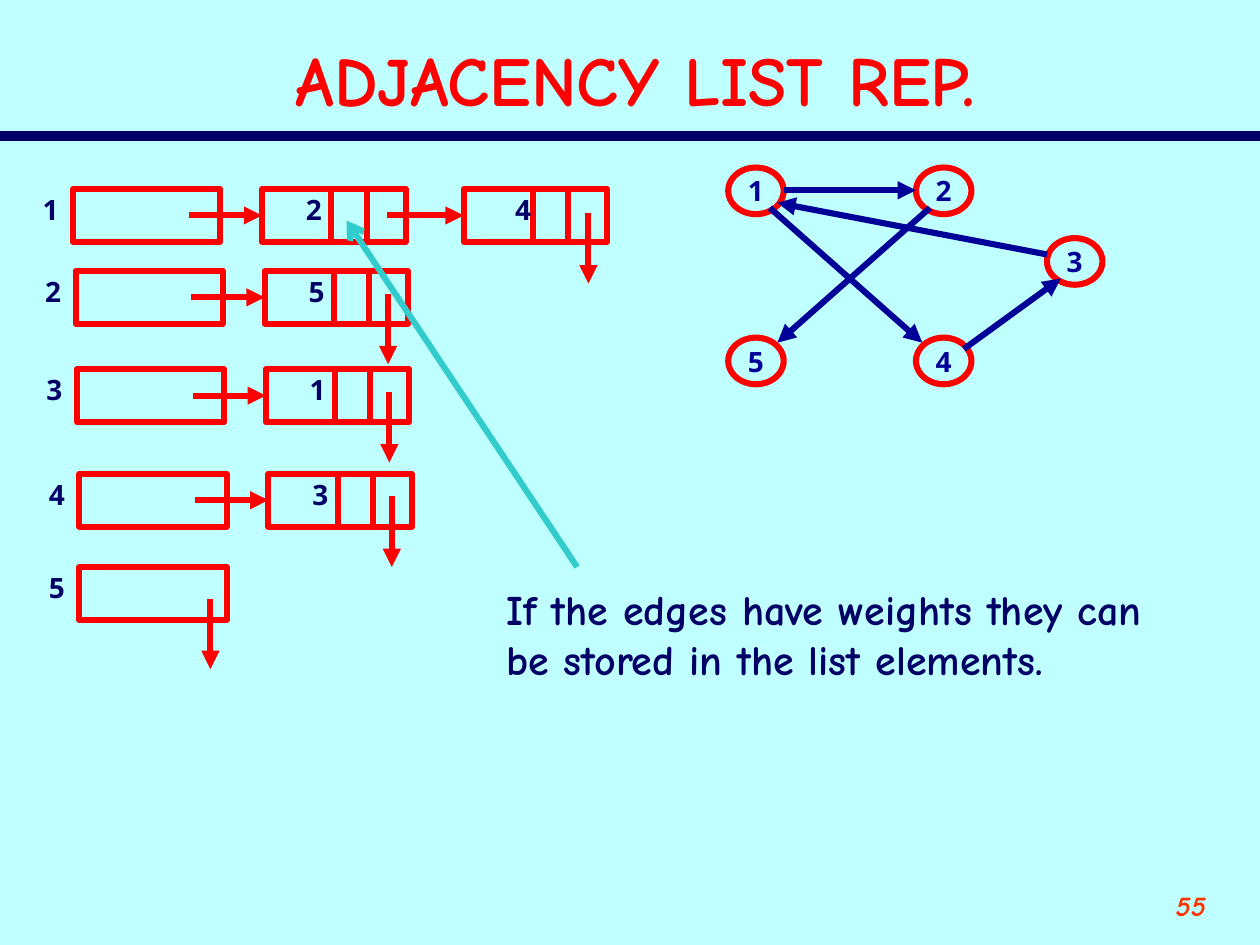
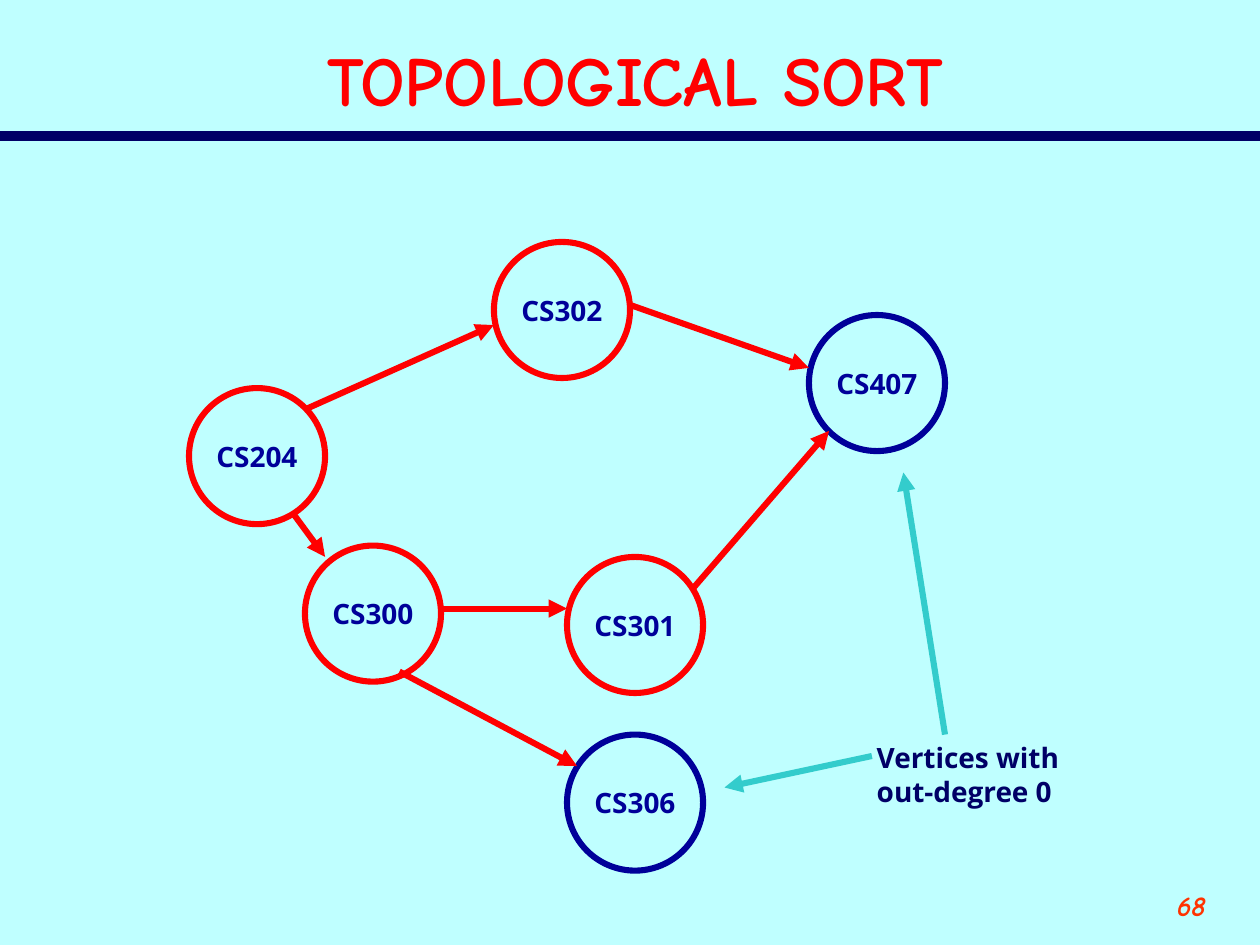
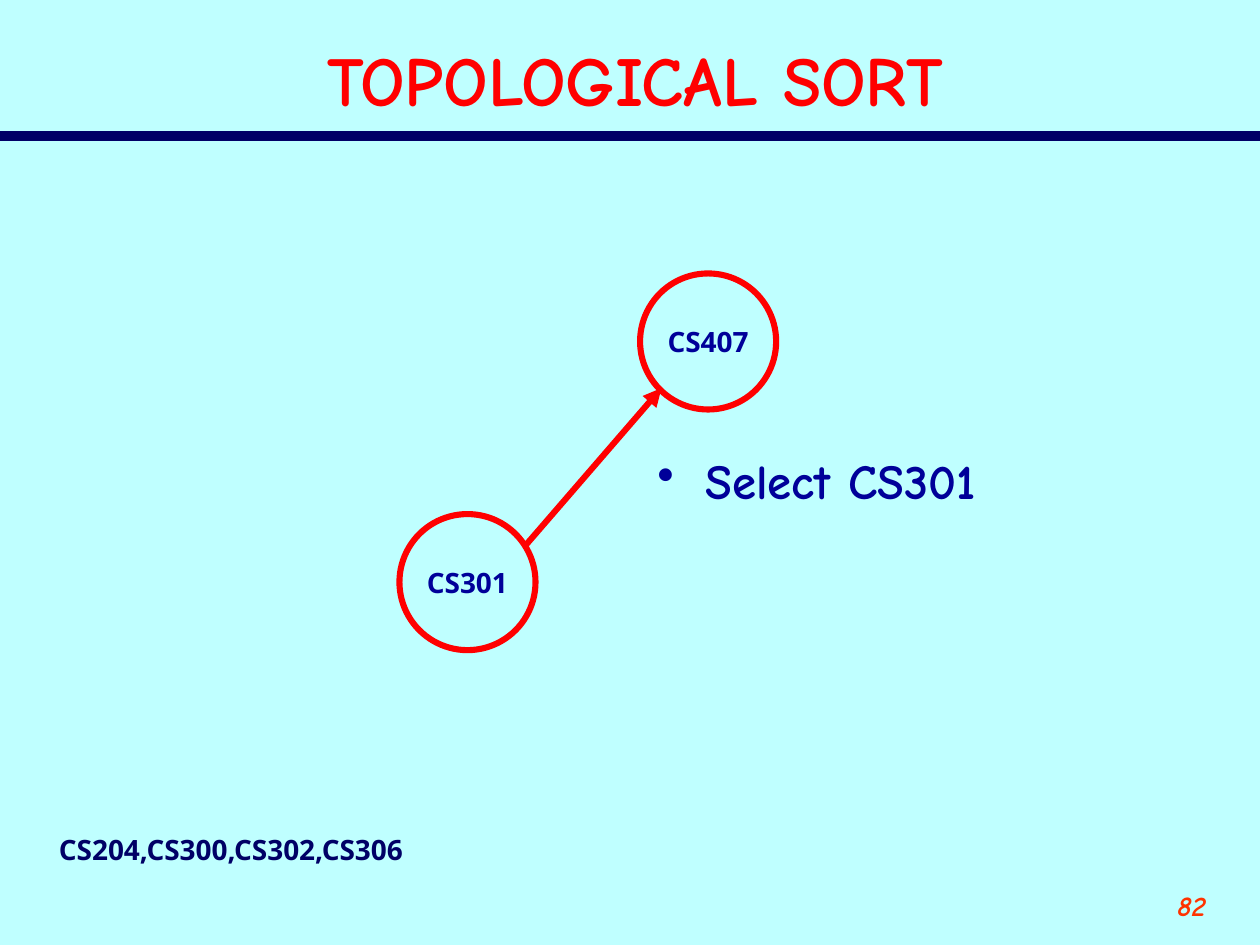
from lxml import etree
from pptx import Presentation
from pptx.dml.color import RGBColor
from pptx.enum.shapes import MSO_CONNECTOR, MSO_SHAPE
from pptx.enum.text import MSO_ANCHOR, MSO_AUTO_SIZE, PP_ALIGN
from pptx.oxml.ns import qn
from pptx.util import Inches, Pt

STRAIGHT = MSO_CONNECTOR.STRAIGHT
RECT, OVAL = MSO_SHAPE.RECTANGLE, MSO_SHAPE.OVAL
MIDDLE = MSO_ANCHOR.MIDDLE
NO_FIT, GROW = MSO_AUTO_SIZE.NONE, MSO_AUTO_SIZE.SHAPE_TO_FIT_TEXT
LEFT, CENTER, RIGHT = PP_ALIGN.LEFT, PP_ALIGN.CENTER, PP_ALIGN.RIGHT

COLORS = {
    "back": "BFFFFF",
    "red": "FF0000",
    "navy": "000066",
    "blue": "000099",
    "teal": "33CCCC",
    "number": "FF3300",
}
HAND, SANS = "Comic Neue", "Open Sans"
STROKE = 3.5
BOX_W, CELL_W, BOX_H = 1.17, 1.14, 0.42
CELL_DX = 1.5
COURSE_SIZE = (1.08, 1.08)
VERTEX_SIZE = (0.44, 0.37)


def rgb(name):
    """Return the named colour."""
    return RGBColor.from_string(COLORS[name])


def style(p, size, color, font=SANS, align=LEFT, italic=False):
    """Format a paragraph in bold."""
    p.alignment = align
    f = p.font
    f.name, f.size, f.bold, f.italic = font, Pt(size), True, italic
    f.color.rgb = rgb(color)


def add_text(s, text, at, size=16, color="navy", font=SANS, align=LEFT,
             wrap=False, fit=GROW, italic=False):
    """Add a text box with one paragraph per line and return its frame."""
    tf = s.shapes.add_textbox(*map(Inches, at)).text_frame
    tf.word_wrap, tf.auto_size = wrap, fit
    tf.text = text
    for p in tf.paragraphs:
        style(p, size, color, font, align, italic)
    return tf


def add_line(s, start, end, color="red", width=STROKE, tail=None):
    """Add a straight line, with an arrowhead at its end if tail is given."""
    c = s.shapes.add_connector(STRAIGHT, *map(Inches, (*start, *end)))
    c.line.color.rgb, c.line.width = rgb(color), Pt(width)
    if tail:
        etree.SubElement(c.line._get_or_add_ln(), qn("a:tailEnd"), type=tail)
    etree.SubElement(c._element.spPr, qn("a:effectLst"))
    return c


def add_arrow(s, start, end, color="red"):
    """Add a line with a solid arrowhead."""
    return add_line(s, start, end, color, tail="triangle")


def add_outline(s, kind, at, color="red"):
    """Add an unfilled shape with a thick outline."""
    sp = s.shapes.add_shape(kind, *map(Inches, at))
    sp.shadow.inherit = False
    sp.fill.background()
    sp.line.color.rgb, sp.line.width = rgb(color), Pt(STROKE)
    return sp


def add_node(s, text, at, size, color="red"):
    """Add a labelled graph node."""
    tf = add_outline(s, OVAL, (*at, *size), color).text_frame
    tf.word_wrap, tf.vertical_anchor = False, MIDDLE
    tf.text = text
    style(tf.paragraphs[0], 16, "blue", align=CENTER)


def add_label(s, text, left, top):
    """Add a one-digit label."""
    add_text(s, text, (left, top, 0.32, 0.37))


def add_null(s, x, y):
    """Add the downward arrow that ends a list."""
    add_arrow(s, (x, y), (x, y + 0.56))


def add_cell(s, value, left, top, value_dx=0.25):
    """Add a list element with value, weight and link fields."""
    cell = add_outline(s, RECT, (left, top, CELL_W, BOX_H))
    for dx in (0.55, 0.83):
        add_line(s, (left + dx, top), (left + dx, top + BOX_H))
    add_label(s, value, left + value_dx, top - 0.02)
    return cell


def add_link(s, x, cell, left, top):
    """Join a link field to the left side of the next list element."""
    y = top + BOX_H / 2
    add_arrow(s, (x, y), (left, y)).end_connect(cell, 1)


def add_row(s, vertex, left, top, value):
    """Add the head of an adjacency list and its first element."""
    add_outline(s, RECT, (left, top, BOX_W, BOX_H))
    add_label(s, vertex, left - 0.34, top - 0.02)
    if value is None:
        add_null(s, left + 1.04, top + 0.25)
        return
    cell_left = left + CELL_DX
    cell = add_cell(s, value, cell_left, top)
    add_link(s, left + 0.92, cell, cell_left, top)


def add_slide(prs, title, number):
    """Add a slide with background, rule, title and slide number."""
    s = prs.slides.add_slide(prs.slide_layouts[5])
    add_line(s, (0, 1.08), (10, 1.08), "navy", 6)
    add_text(s, number, (8.67, 7, 1, 0.5), color="number", font=HAND,
             align=RIGHT, wrap=True, fit=NO_FIT, italic=True)
    sp = s.shapes.title
    sp.left, sp.top, sp.width, sp.height = map(Inches, (0.42, 0.25, 9.25, 0.75))
    tf = sp.text_frame
    tf.text, tf.vertical_anchor, tf.auto_size = title, MIDDLE, NO_FIT
    style(tf.paragraphs[0], 40, "red", HAND, CENTER)
    return s


def add_bullet(p, indent):
    """Give a paragraph a hanging bullet."""
    pPr = p._p.get_or_add_pPr()
    pPr.set("marL", str(Inches(indent)))
    pPr.set("indent", str(-Inches(indent)))
    bullet = etree.Element(qn("a:buChar"), char="•")
    pPr.insert(0, bullet)


def adjacency_slide(prs):
    """Build the adjacency list slide."""
    s = add_slide(prs, "ADJACENCY LIST REP.", "55")
    rows = [("1", 0.58, 1.5, "2"), ("2", 0.6, 2.15, "5"), ("3", 0.61, 2.93, "1"),
            ("4", 0.63, 3.76, "3"), ("5", 0.63, 4.5, None)]
    for vertex, left, top, value in rows:
        add_row(s, vertex, left, top, value)
    for vertex, left, top, value in rows[1:4]:
        add_null(s, left + CELL_DX + 0.98, top + 0.18)
    last = add_cell(s, "4", 3.68, 1.5, value_dx=0.31)
    add_link(s, 3.07, last, 3.68, 1.5)
    add_null(s, 4.67, 1.69)

    add_text(s, "If the edges have weights they can be stored in the list elements.",
             (3.92, 4.58, 5.5, 0.9), 24, font=HAND, wrap=True)
    add_line(s, (4.58, 4.5), (2.75, 1.75), "teal", tail="arrow")

    vertices = {"1": (5.78, 1.33), "2": (7.27, 1.33), "5": (5.78, 2.68),
                "3": (8.31, 1.89), "4": (7.27, 2.68)}
    for name, at in vertices.items():
        add_node(s, name, at, VERTEX_SIZE)
    edges = [((6.22, 1.51), (7.27, 1.51)), ((7.38, 1.65), (6.17, 2.72)),
             ((6.11, 1.65), (7.32, 2.72)), ((7.65, 2.77), (8.42, 2.21)),
             ((8.31, 2.02), (6.17, 1.61))]
    for start, end in edges:
        add_arrow(s, start, end, "blue")


def courses_slide(prs):
    """Build the course graph slide."""
    s = add_slide(prs, "TOPOLOGICAL SORT", "68")
    courses = {"CS204": (1.5, 3.08), "CS300": (2.42, 4.33), "CS301": (4.5, 4.42),
               "CS302": (3.92, 1.92), "CS407": (6.42, 2.5), "CS306": (4.5, 5.83)}
    sinks = ("CS407", "CS306")
    for name, at in courses.items():
        add_node(s, name, at, COURSE_SIZE, "blue" if name in sinks else "red")
    edges = [((2.33, 4.08), (2.58, 4.42)), ((3.5, 4.83), (4.5, 4.83)),
             ((3.17, 5.33), (4.58, 6.08)), ((2.42, 3.25), (3.92, 2.58)),
             ((5.5, 4.67), (6.58, 3.42)), ((5, 2.42), (6.42, 2.92))]
    for start, end in edges:
        add_arrow(s, start, end)
    add_text(s, "Vertices with\nout-degree 0", (6.86, 5.83, 1.71, 0.64))
    add_arrow(s, (6.92, 6), (5.75, 6.25), "teal")
    add_arrow(s, (7.5, 5.83), (7.17, 3.75), "teal")


def selection_slide(prs):
    """Build the slide that selects the next course."""
    s = add_slide(prs, "TOPOLOGICAL SORT", "82")
    tf = add_text(s, "Select CS301", (5.12, 3.53, 4.54, 0.55), 28, "blue", HAND,
                  wrap=True)
    add_bullet(tf.paragraphs[0], 0.38)
    add_node(s, "CS301", (3.17, 4.08), COURSE_SIZE)
    add_node(s, "CS407", (5.08, 2.17), COURSE_SIZE)
    add_arrow(s, (4.17, 4.33), (5.25, 3.08))
    add_text(s, "CS204,CS300,CS302,CS306", (0.37, 6.56, 2.96, 0.37))


def main():
    """Build and save the presentation."""
    prs = Presentation()
    prs.slide_width, prs.slide_height = Inches(10), Inches(7.5)
    fill = prs.slide_master.background.fill
    fill.solid()
    fill.fore_color.rgb = rgb("back")
    adjacency_slide(prs)
    courses_slide(prs)
    selection_slide(prs)
    prs.save("out.pptx")


if __name__ == "__main__":
    main()
